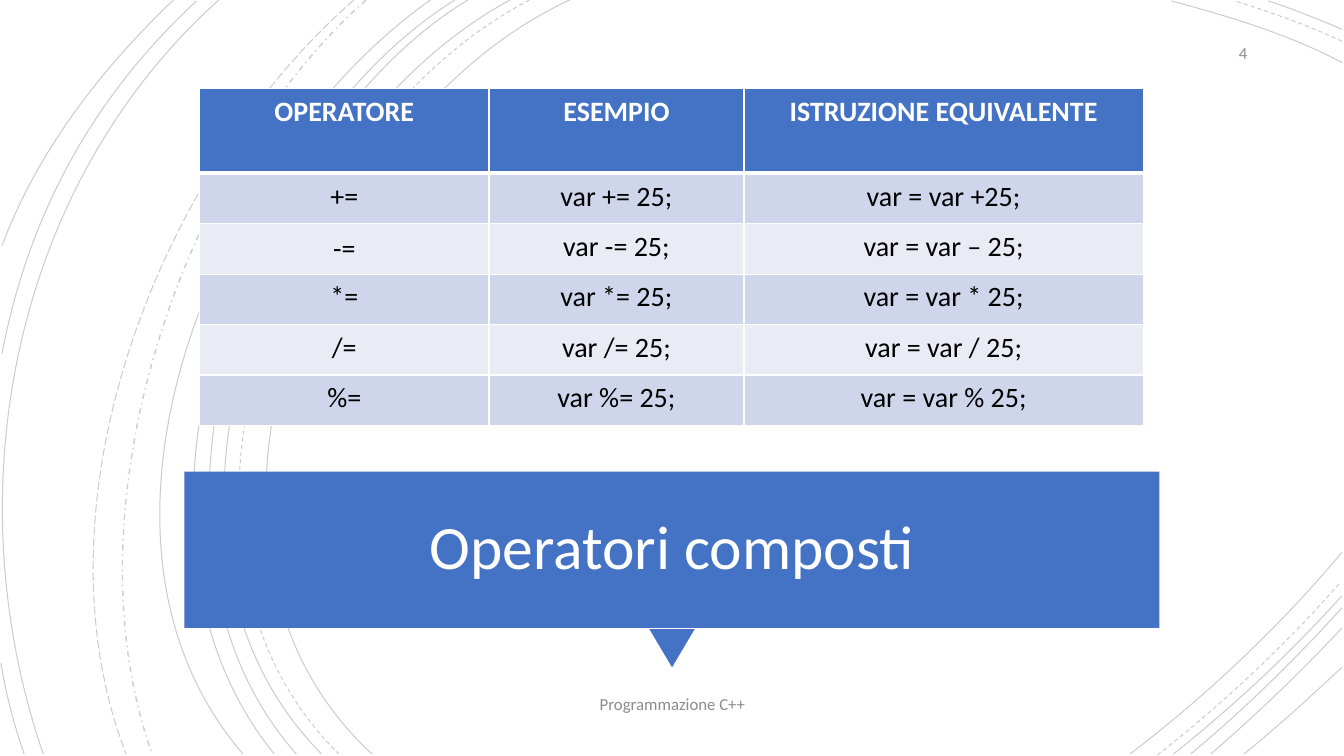
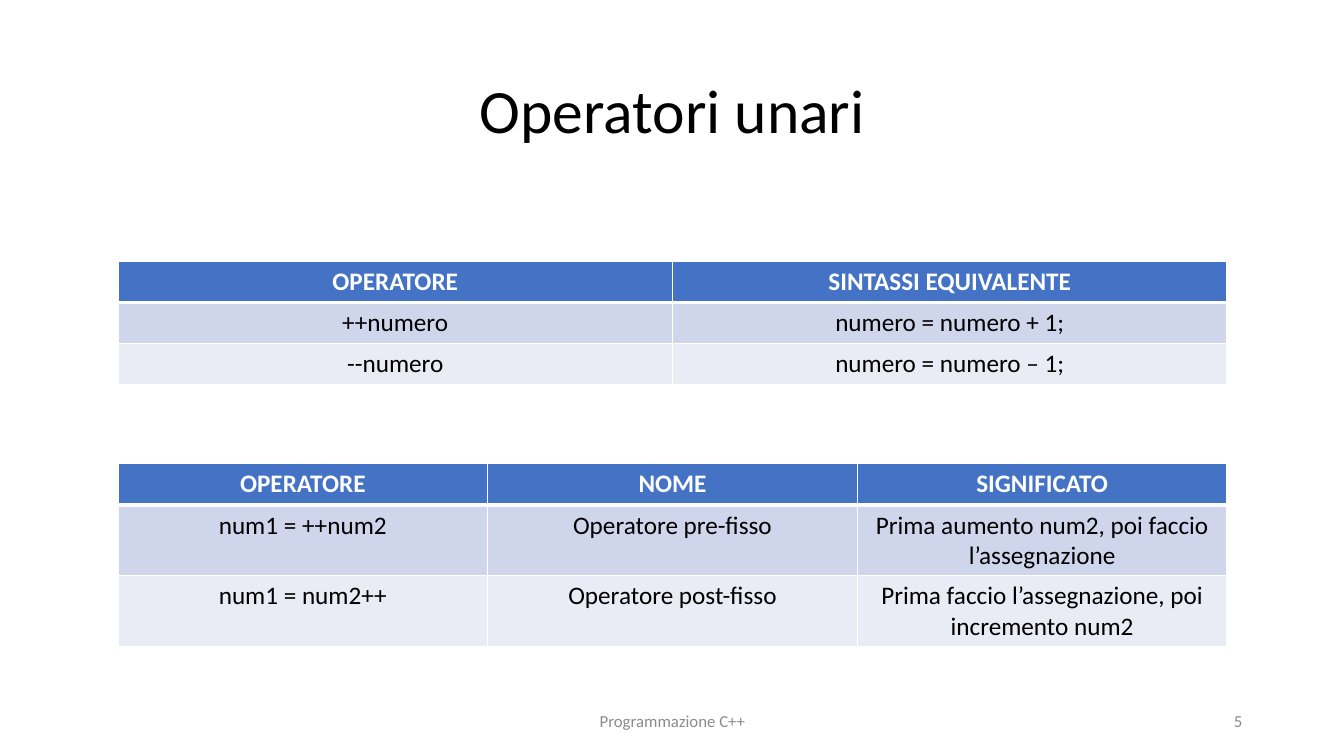
from dataclasses import dataclass

from lxml import etree
from pptx import Presentation
from pptx import util as u
from pptx.dml.color import RGBColor
from pptx.enum import dml, shapes, text
from pptx.oxml.ns import qn


@dataclass(frozen=True)
class Theme:
    font: str = "Calibri"
    accent: str = "4472C4"
    odd_row: str = "CFD5EA"
    even_row: str = "E9EBF5"
    white: str = "FFFFFF"
    ink: str = "000000"
    muted: str = "8C8C8C"
    title_size: float = 44
    footer_size: float = 12
    border: float = 1
    header_border: float = 3
    arc_alpha: int = 20


@dataclass(frozen=True)
class Box:
    left: float
    top: float
    width: float
    height: float

    def inches(self):
        return [u.Inches(v) for v in (self.left, self.top, self.width, self.height)]

    def inset(self, gap):
        return Box(self.left + gap, self.top + gap,
                   self.width - 2 * gap, self.height - 2 * gap)


THEME = Theme()
SLIDE = Box(0, 0, 13.33, 7.5)
FOOTER = "Programmazione C++"
CENTER, RIGHT = text.PP_ALIGN.CENTER, text.PP_ALIGN.RIGHT
SOLID, DASH = dml.MSO_LINE.SOLID, dml.MSO_LINE.DASH

ARCS = [
    ((5.65, 0), (3.15, 1.15), (1.43, 5.4), (3.69, 7.48), SOLID),
    ((13.31, 0.62), (12.78, 0.34), (12.18, 0.16), (11.62, 0.01), SOLID),
    ((11.21, 7.48), (11.97, 6.9), (12.69, 6.22), (13.31, 5.48), SOLID),
    ((5.25, 0), (2.85, 1.25), (1.23, 5.37), (3.36, 7.48), DASH),
    ((13.31, 0.41), (12.97, 0.25), (12.6, 0.12), (12.25, 0.01), DASH),
    ((11.48, 7.49), (12.13, 6.98), (12.75, 6.4), (13.3, 5.77), DASH),
    ((5.06, 0), (2.7, 1.27), (1.1, 5.37), (3.19, 7.48), SOLID),
    ((13.31, 0.29), (13.07, 0.19), (12.83, 0.09), (12.58, 0.01), SOLID),
    ((11.64, 7.48), (12.23, 7.01), (12.8, 6.48), (13.31, 5.91), SOLID),
    ((4.64, 0), (2.44, 1.33), (1.1, 5.41), (2.94, 7.48), SOLID),
    ((11.81, 7.48), (12.34, 7.04), (12.84, 6.55), (13.31, 6.03), SOLID),
    ((4.51, 0), (2.31, 1.38), (0.97, 5.33), (2.72, 7.48), SOLID),
    ((12.01, 7.48), (12.46, 7.09), (12.9, 6.67), (13.31, 6.23), SOLID),
    ((4.27, 0), (2.17, 1.47), (0.53, 5.29), (2.41, 7.48), SOLID),
    ((12.34, 7.48), (12.67, 7.21), (12.99, 6.92), (13.31, 6.62), SOLID),
    ((3.63, 0), (1.76, 1.66), (0.65, 5.09), (1.51, 7.48), dml.MSO_LINE.DASH_DOT),
    ((3.51, 0), (1.57, 1.69), (0.29, 4.99), (1.25, 7.48), dml.MSO_LINE.LONG_DASH),
    ((2.17, 0), (0.11, 1.85), (-0.46, 4.9), (0.43, 7.48), SOLID),
    ((1.95, 0.01), (0.92, 0.96), (0.28, 2.14), (0.02, 3.51), SOLID),
    ((0.01, 6.58), (0.06, 6.89), (0.14, 7.19), (0.24, 7.48), SOLID),
    ((1.72, 0), (1, 0.69), (0.37, 1.5), (0.02, 2.44), SOLID),
]


def rgb(color):
    return RGBColor.from_string(color)


def style_text(frame, wording, size, color, align=CENTER, bold=False):
    frame.text = wording
    paragraph = frame.paragraphs[0]
    paragraph.alignment = align
    font = paragraph.runs[0].font
    font.name, font.size, font.bold = THEME.font, u.Pt(size), bold
    font.color.rgb = rgb(color)
    return paragraph


def add_label(slide, box, wording, size, color, align=CENTER):
    frame = slide.shapes.add_textbox(*box.inches()).text_frame
    frame.word_wrap = True
    frame.vertical_anchor = text.MSO_ANCHOR.MIDDLE
    return style_text(frame, wording, size, color, align)


def add_title(slide, box, wording, color):
    add_label(slide, box, wording, THEME.title_size, color).line_spacing = 0.9


def add_footer(slide, footer_box, number_box, number):
    add_label(slide, footer_box, FOOTER, THEME.footer_size, THEME.muted)
    add_label(slide, number_box, number, THEME.footer_size, THEME.muted, RIGHT)


def add_arcs(slide, box):
    group = slide.shapes.add_group_shape()
    for *points, dash in ARCS:
        start, *rest = [(u.Inches(box.left + x), u.Inches(box.top + y)) for x, y in points]
        builder = group.shapes.build_freeform(*start)
        builder.add_line_segments(rest, close=False)
        arc = builder.convert_to_shape()
        bend(arc)
        arc.shadow.inherit = False
        arc.fill.background()
        arc.line.color.rgb = rgb(THEME.ink)
        arc.line.width = u.Pt(1 if dash == dml.MSO_LINE.DASH_DOT else 0.75)
        arc.line.dash_style = dash
        stroke = arc._element.spPr.find(qn("a:ln")).find(".//" + qn("a:srgbClr"))
        etree.SubElement(stroke, qn("a:alpha"), val=str(THEME.arc_alpha * 1000))


def bend(arc):
    segments = list(arc._element.iter(qn("a:lnTo")))
    outline = segments[0].getparent()
    curve = etree.SubElement(outline, qn("a:cubicBezTo"))
    for segment in segments:
        curve.append(segment[0])
        outline.remove(segment)


def add_banner(slide, box, wording):
    pointer_box = Box(box.left + box.width / 2 - 0.225, box.top + box.height + 0.01, 0.45, 0.38)
    for kind, part, turn in (
        (shapes.MSO_SHAPE.ISOSCELES_TRIANGLE, pointer_box, 180),
        (shapes.MSO_SHAPE.RECTANGLE, box, 0),
    ):
        block = slide.shapes.add_shape(kind, *part.inches())
        block.rotation = turn
        block.shadow.inherit = False
        block.fill.solid()
        block.fill.fore_color.rgb = rgb(THEME.accent)
        block.line.fill.background()
    add_title(slide, box.inset(0.09), wording, THEME.white)


def add_borders(cell, is_header):
    properties = cell._tc.get_or_add_tcPr()
    for position, side in enumerate(("L", "R", "T", "B")):
        width = THEME.header_border if is_header and side == "B" else THEME.border
        edge = etree.Element(qn(f"a:ln{side}"), w=str(u.Pt(width)))
        paint = etree.SubElement(edge, qn("a:solidFill"))
        etree.SubElement(paint, qn("a:srgbClr"), val=THEME.white)
        properties.insert(position, edge)


def add_grid(slide, box, columns, heights, rows, size, margins=(0.1, 0.05)):
    grid = slide.shapes.add_table(len(rows), len(columns), *box.inches()).table
    for column, width in zip(grid.columns, columns):
        column.width = u.Inches(width)
    for row, height in zip(grid.rows, heights):
        row.height = u.Inches(height)
    for r, wordings in enumerate(rows):
        is_header = r == 0
        band = THEME.accent if is_header else THEME.odd_row if r % 2 else THEME.even_row
        for c, wording in enumerate(wordings):
            cell = grid.cell(r, c)
            cell.margin_left = cell.margin_right = u.Inches(margins[0])
            cell.margin_top = cell.margin_bottom = u.Inches(margins[1])
            cell.fill.solid()
            cell.fill.fore_color.rgb = rgb(band)
            add_borders(cell, is_header)
            style_text(cell.text_frame, wording, size,
                       THEME.white if is_header else THEME.ink, bold=is_header)
    return grid


def build_compound(slide, box):
    add_arcs(slide, box)
    add_banner(slide, Box(box.left + 1.83, box.top + 4.68, 9.67, 1.55), "Operatori composti")
    add_footer(slide, Box(box.left + 0.88, box.top + 6.81, 11.58, 0.35),
               Box(box.left + 11.47, box.top + 0.35, 1, 0.35), "4")
    examples = [
        ("OPERATORE", "ESEMPIO", "ISTRUZIONE EQUIVALENTE"),
        ("+=", "var += 25;", "var = var +25;"),
        ("-=", "var -= 25;", "var = var – 25;"),
        ("*=", "var *= 25;", "var = var * 25;"),
        ("/=", "var /= 25;", "var = var / 25;"),
        ("%=", "var %= 25;", "var = var % 25;"),
    ]
    grid = add_grid(slide, Box(box.left + 1.98, box.top + 0.88, 9.36, 3.33),
                    (2.87, 2.53, 3.96), [0.84] + [0.5] * 5, examples, 20, (0.11, 0.06))
    grid.cell(2, 0).vertical_anchor = text.MSO_ANCHOR.MIDDLE


def build_unary(slide, box):
    add_title(slide, Box(box.left + 0.92, box.top + 0.4, 11.5, 1.45),
              "Operatori unari", THEME.ink)
    add_footer(slide, Box(box.left + 4.42, box.top + 6.95, 4.5, 0.4),
               Box(box.left + 9.42, box.top + 6.95, 3, 0.4), "5")
    syntax = [
        ("OPERATORE", "SINTASSI EQUIVALENTE"),
        ("++numero", "numero = numero + 1;"),
        ("--numero", "numero = numero – 1;"),
    ]
    meaning = [
        ("OPERATORE", "NOME", "SIGNIFICATO"),
        ("num1 = ++num2", "Operatore pre-fisso",
         "Prima aumento num2, poi faccio l’assegnazione"),
        ("num1 = num2++", "Operatore post-fisso",
         "Prima faccio l’assegnazione, poi incremento num2"),
    ]
    for top, heights, rows in ((2.59, [0.41] * 3, syntax), (4.6, [0.41, 0.7, 0.7], meaning)):
        area = Box(box.left + 1.17, box.top + top, 11, sum(heights))
        count = len(rows[0])
        add_grid(slide, area, [area.width / count] * count, heights, rows, 18)


def main():
    deck = Presentation()
    deck.slide_width, deck.slide_height = u.Inches(SLIDE.width), u.Inches(SLIDE.height)
    for build in (build_compound, build_unary):
        build(deck.slides.add_slide(deck.slide_layouts[6]), SLIDE)
    deck.save("out.pptx")


if __name__ == "__main__":
    main()
